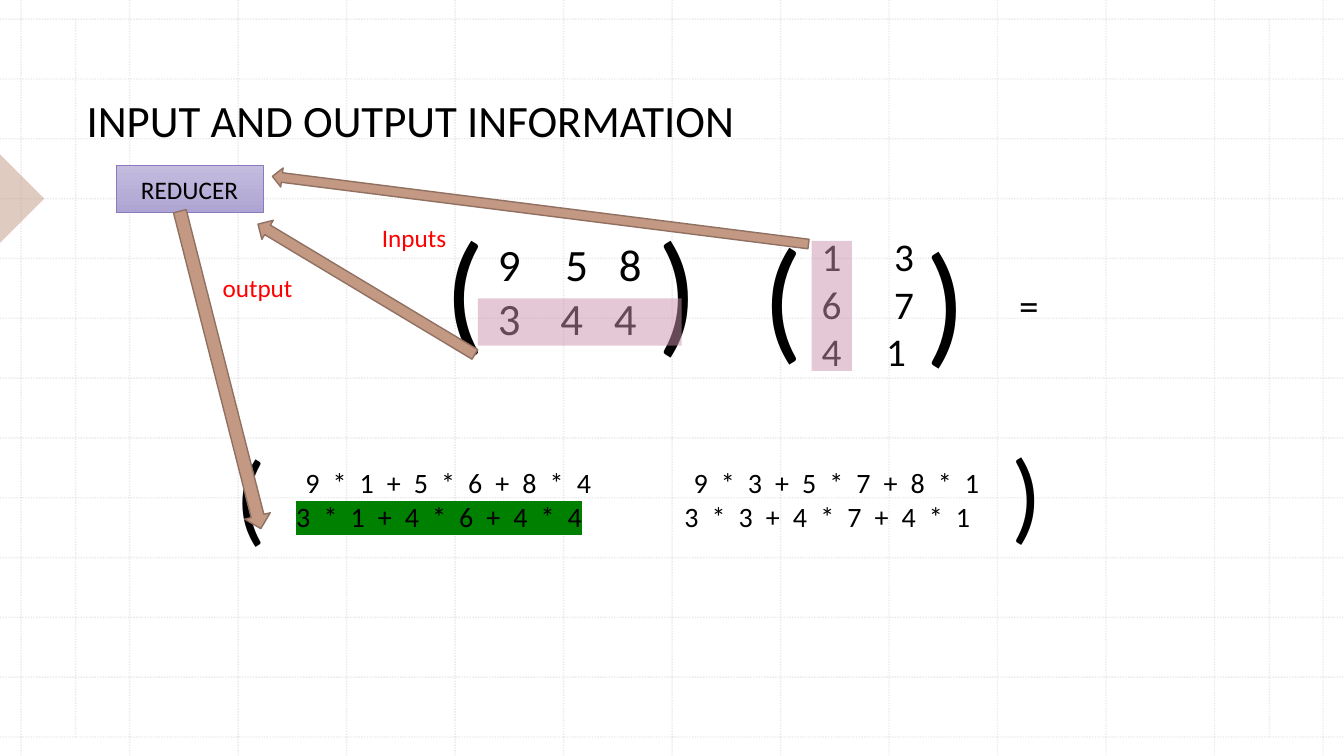
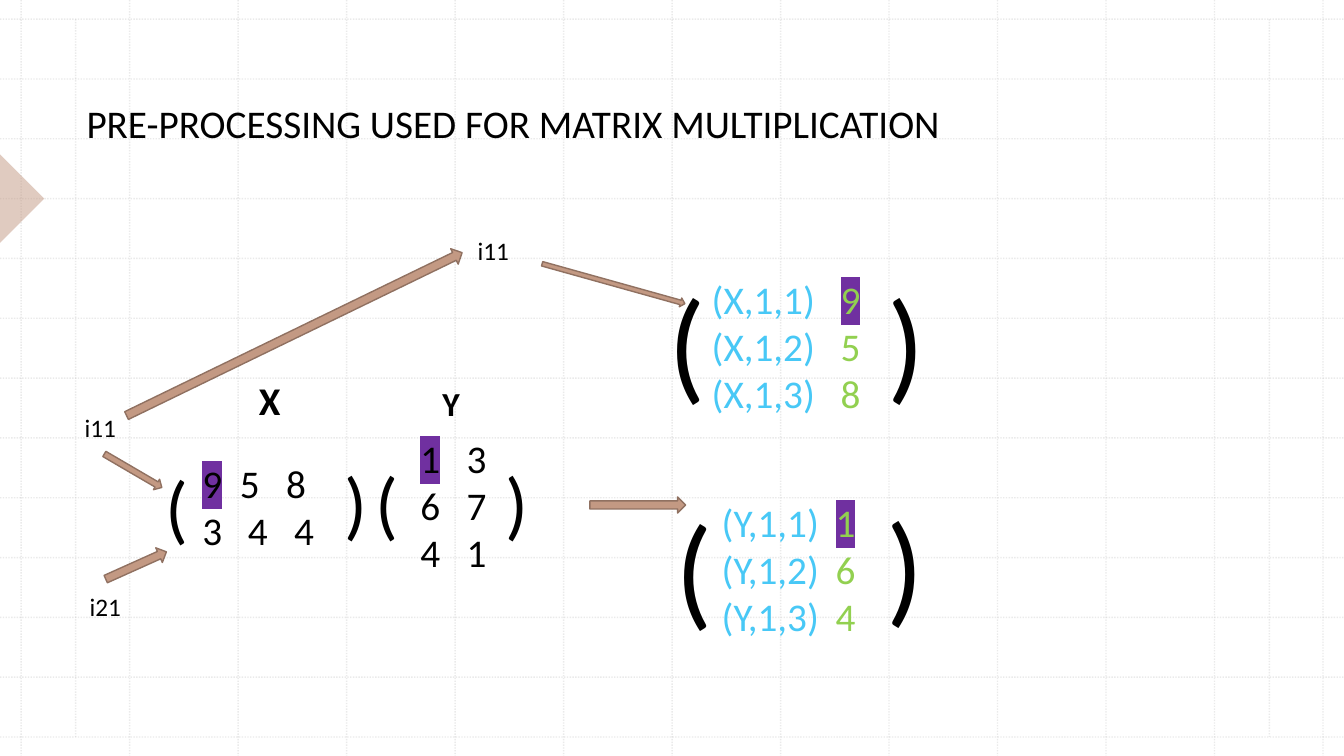
import pptx
import pptx.util
import pptx.dml.color
import pptx.enum.dml
import pptx.enum.shapes
import pptx.enum.text
import pptx.oxml
import pptx.oxml.ns

Inches = pptx.util.Inches
Pt = pptx.util.Pt
RGB = pptx.dml.color.RGBColor
Kind = pptx.enum.shapes.MSO_SHAPE
Anchor = pptx.enum.text.MSO_ANCHOR
qn = pptx.oxml.ns.qn

BLACK = RGB(0x00, 0x00, 0x00)
RED = RGB(0xFF, 0x00, 0x00)
GREEN = RGB(0x00, 0x80, 0x00)
LIME = RGB(0x92, 0xD0, 0x50)
SKY = RGB(0x48, 0xC8, 0xF6)
PURPLE = RGB(0x70, 0x30, 0xA0)
PINK = RGB(0xCB, 0x92, 0xAE)
TAN = RGB(0xC3, 0x99, 0x83)
BROWN = RGB(0x90, 0x71, 0x61)
GREY = RGB(0xBC, 0xBC, 0xBC)
LILAC = RGB(0xC4, 0xBD, 0xDE)
MAUVE = RGB(0xAE, 0xA4, 0xD3)
VIOLET = RGB(0x8B, 0x7A, 0xBF)


def add_tag(parent, tag, **attrs):
    node = pptx.oxml.parse_xml(f"<a:{tag} {pptx.oxml.ns.nsdecls('a')}/>")
    for key, value in attrs.items():
        node.set(key, str(value))
    parent.append(node)
    return node


def fade(props, percent):
    add_tag(next(props.iter(qn("a:srgbClr"))), "alpha", val=percent * 1000)


class Deck:
    FONT = "Calibri"

    def __init__(self):
        self.file = pptx.Presentation()
        self.file.slide_width = Inches(13.33)
        self.file.slide_height = Inches(7.5)

    def start(self, title, size):
        self.slide = self.file.slides.add_slide(self.file.slide_layouts[6])
        self.grid()
        mark = self.shape(Kind.RIGHT_TRIANGLE, -0.31, 1.66, 0.62, 0.62, TAN, turn=225)
        fade(mark.fill._xPr, 50)
        self.text(0.76, 0.79, 11.29, 0.71, title, size).vertical_anchor = Anchor.BOTTOM

    # Dotted background grid
    def grid(self):
        for step in range(13):
            x, y = 0.21 + 1.076 * step, 0.19 + 0.5935 * step
            self.rule(x, 0, x, 7.5)
            self.rule(0, y, 13.33, y)
        for x in (0.75, 12.59):
            self.rule(x, 0.19, x, 7.31)

    def rule(self, *ends):
        line = self.slide.shapes.add_connector(
            pptx.enum.shapes.MSO_CONNECTOR.STRAIGHT, *map(Inches, ends))
        line.line.color.rgb = GREY
        line.line.width = Pt(1)
        line.line.dash_style = pptx.enum.dml.MSO_LINE.ROUND_DOT
        props = line._element.spPr
        fade(props, 30)
        add_tag(props, "effectLst")

    # Shapes
    def shape(self, kind, x, y, wide, high, fill, line=None, width=1, turn=0):
        item = self.slide.shapes.add_shape(kind, *map(Inches, (x, y, wide, high)))
        item.shadow.inherit = False
        item.rotation = turn
        item.fill.solid()
        item.fill.fore_color.rgb = fill
        if line is None:
            item.line.fill.background()
        else:
            item.line.color.rgb = line
            item.line.width = Pt(width)
        return item

    def arrow(self, x, y, wide, high, turn=0):
        self.shape(Kind.RIGHT_ARROW, x, y, wide, high, TAN, BROWN, turn=turn)

    def glaze(self, x, y, wide, high):
        fade(self.shape(Kind.RECTANGLE, x, y, wide, high, PINK).fill._xPr, 50)

    def button(self, x, y, wide, high, label):
        item = self.shape(Kind.RECTANGLE, x, y, wide, high, LILAC, VIOLET, 0.5)
        item.fill.gradient()
        item.fill.gradient_angle = 270
        for stop, color in zip(item.fill.gradient_stops, (LILAC, MAUVE)):
            stop.color.rgb = color
        item.text_frame.vertical_anchor = Anchor.MIDDLE
        para = item.text_frame.paragraphs[0]
        para.alignment = pptx.enum.text.PP_ALIGN.CENTER
        self.run(para, label, 18)

    # Text
    def run(self, para, words, size, color=BLACK, back=None, bold=False, gap=0):
        run = para.add_run()
        run.text = words
        font = run.font
        font.size = Pt(size)
        font.name = self.FONT
        font.color.rgb = color
        if bold:
            font.bold = True
        props = run._r.get_or_add_rPr()
        if gap:
            props.set("spc", str(round(gap * 100)))
        if back is not None:
            glow = add_tag(props, "highlight")
            add_tag(glow, "srgbClr", val=back)
            props.find(qn("a:solidFill")).addnext(glow)

    def rows(self, x, y, wide, high, size, rows, gap=0):
        """Each row is (tab stops, runs); a run is (words, colour, highlight)."""
        frame = self.slide.shapes.add_textbox(
            *map(Inches, (x, y, wide, high))).text_frame
        frame.word_wrap = True
        for at, (stops, runs) in enumerate(rows):
            para = frame.add_paragraph() if at else frame.paragraphs[0]
            if stops:
                tabs = add_tag(para._p.get_or_add_pPr(), "tabLst")
                for stop in stops:
                    add_tag(tabs, "tab", pos=Inches(stop), algn="l")
            for run in runs:
                words, color, back = (*run, BLACK, None)[:3] if len(run) == 1 else run
                self.run(para, words, size, color, back, gap=gap)
        return frame

    def text(self, x, y, wide, high, words, size, color=BLACK, bold=False):
        frame = self.rows(x, y, wide, high, size, [((), [])])
        self.run(frame.paragraphs[0], words, size, color, bold=bold)
        return frame

    def pairs(self, x, y, wide, stop, name, values):
        rows = []
        for at, value in enumerate(values, 1):
            back = None if at > 1 else PURPLE
            rows.append(([stop], [(f"({name},1,{at})\t", SKY, None), (value, LIME, back)]))
        self.rows(x, y, wide, 1.51, 28, rows)


deck = Deck()

# Slide 1: reducer
deck.start("INPUT AND OUTPUT INFORMATION", 32)
deck.rows(4.84, 2.3, 3.61, 1.18, 32, [
    ((0.67, 1.2), [("9\t5\t8",)]),
    ((0.62, 1.15), [("3\t4\t4",)])])
deck.rows(8.05, 2.26, 3.77, 1.51, 28, [
    ([0.72], [("1\t3",)]),
    ([0.72], [("6\t7",)]),
    ([0.64], [("4\t1",)])])
deck.rows(0.76, 4.57, 11.22, 0.77, 20, [
    ((2.17, 6.02), [("\t9 * 1 + 5 * 6 + 8 * 4\t9 * 3 + 5 * 7 + 8 * 1",)]),
    ((2.08, 5.93), [("\t",), ("3 * 1 + 4 * 6 + 4 * 4", BLACK, GREEN),
                    ("\t3 * 3 + 4 * 7 + 4 * 1",)])], gap=2.4)
for x, y, wide, high, sign, size in (
        (4.31, 1.99, 0.74, 1.72, "(", 96), (7.46, 2.05, 0.74, 1.72, "(", 96),
        (2.24, 4.24, 0.74, 1.31, "(", 72), (6.42, 1.99, 0.74, 1.72, ")", 96),
        (9.08, 2.09, 0.74, 1.72, ")", 96), (9.93, 4.22, 0.49, 1.31, ")", 72),
        (10.01, 2.74, 0.48, 0.57, "=", 28)):
    deck.text(x, y, wide, high, sign, size)
deck.glaze(4.74, 2.96, 2.02, 0.47)
deck.glaze(8.05, 2.39, 0.4, 1.29)
deck.arrow(2.68, 1.99, 5.36, 0.19, 187.2)
deck.arrow(2.38, 2.76, 2.51, 0.22, 211)
deck.button(1.15, 1.64, 1.46, 0.47, "REDUCER")
deck.arrow(0.56, 3.54, 3.25, 0.26, 75.7)
deck.text(3.69, 2.16, 1.84, 0.4, "Inputs", 18, RED)
deck.text(2.11, 2.65, 1.3, 0.4, "output", 18, RED)

# Slide 2: pre-processing
deck.start("PRE-PROCESSING USED FOR MATRIX MULTIPLICATION", 28)
deck.rows(1.91, 4.51, 1.58, 1.51, 28, [
    ((0.37, 0.83), [("9", BLACK, PURPLE), ("\t5\t8",)]),
    ((0.45, 0.91), [("3\t4\t4",)])])
deck.rows(4.07, 4.26, 1.1, 1.51, 28, [
    ([0.46], [("1", BLACK, PURPLE), ("\t3",)]),
    ([0.46], [("6\t7",)]),
    ([0.46], [("4\t1",)])])
for x, y, wide, high, sign, size in (
        (1.54, 4.51, 0.44, 1.01, "(", 54), (3.63, 4.47, 0.59, 1.01, "(", 54),
        (3.32, 4.47, 0.44, 1.01, ")", 54), (4.92, 4.47, 0.52, 1.01, ")", 54),
        (6.53, 2.58, 0.57, 1.58, "(", 88), (8.7, 2.58, 0.3, 1.58, ")", 88),
        (6.6, 4.83, 0.57, 1.58, "(", 88), (8.69, 4.8, 0.3, 1.58, ")", 88),
        (0.79, 5.82, 0.74, 0.4, "i21", 18), (0.74, 4.04, 0.59, 0.4, "i11", 18),
        (4.64, 2.29, 0.57, 0.4, "i11", 18)):
    deck.text(x, y, wide, high, sign, size)
deck.text(2.47, 3.68, 0.3, 0.57, "X", 28, bold=True)
deck.text(4.29, 3.75, 0.3, 0.5, "Y", 24, bold=True)
for place in ((5.85, 4.93, 0.95, 0.16), (1.02, 5.53, 0.66, 0.16, 335.8),
              (5.35, 2.77, 1.47, 0.09, 15.6), (1.07, 3.23, 3.7, 0.17, 334.1),
              (0.99, 4.61, 0.66, 0.12, 30.3)):
    deck.arrow(*place)
deck.pairs(6.96, 2.68, 2.19, 1.28, "X", "958")
deck.pairs(7.06, 4.89, 2.84, 1.13, "Y", "164")

deck.file.save("out.pptx")
